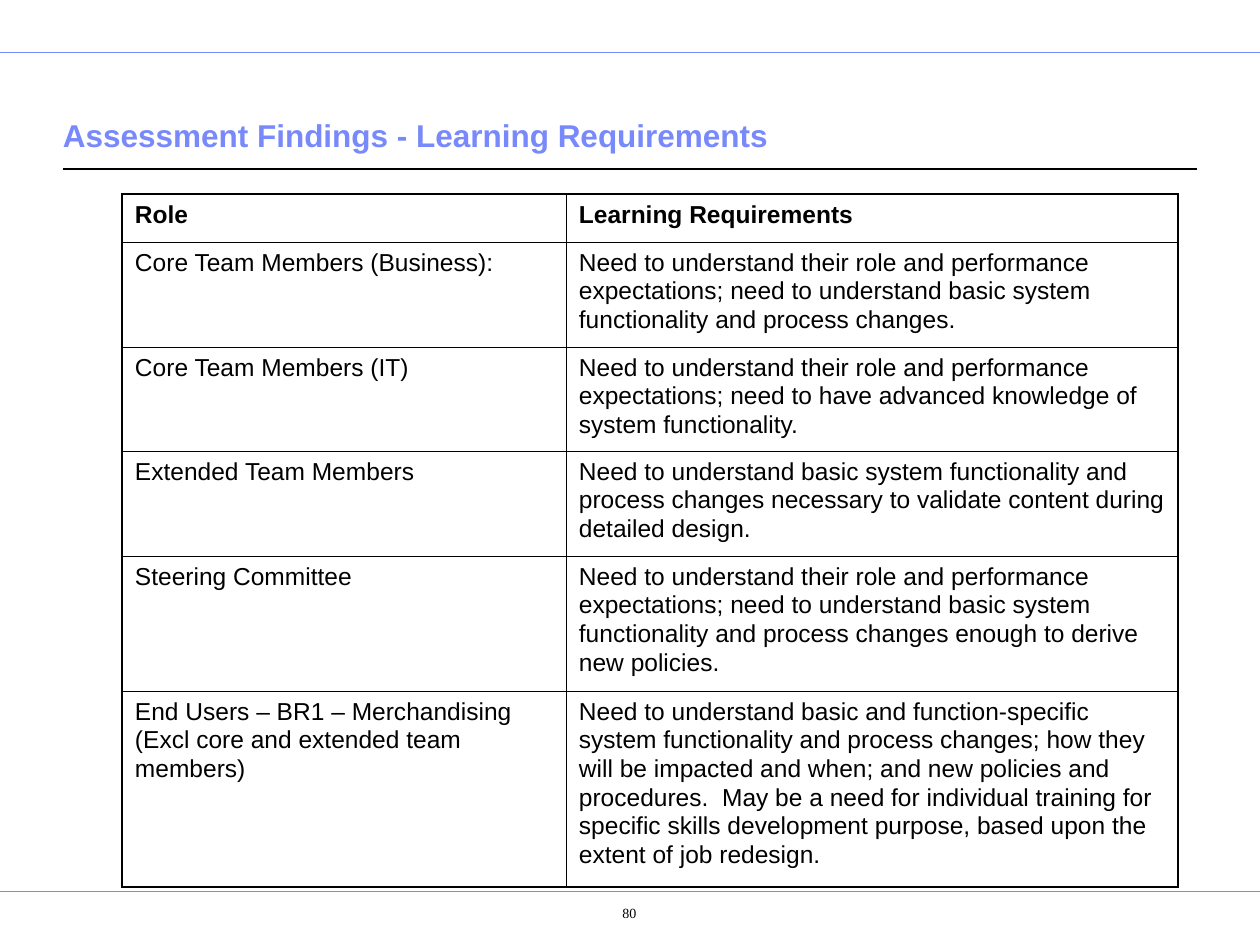
from lxml import etree
from pptx import Presentation
from pptx.dml.color import RGBColor
from pptx.enum.shapes import MSO_CONNECTOR
from pptx.enum.text import MSO_ANCHOR, PP_ALIGN
from pptx.oxml.ns import qn
from pptx.util import Pt

PX = 914400 / 126
STRAIGHT = MSO_CONNECTOR.STRAIGHT
BOTTOM = MSO_ANCHOR.BOTTOM
CENTER = PP_ALIGN.CENTER
BLUE, BLACK = "7889FB", "000000"
INNER, OUTER = 0.45, 1.08


def px(n):
    return round(n * PX)


def style(font, name, size, color, bold=False):
    font.name, font.size, font.bold = name, Pt(size), bold
    font.color.rgb = RGBColor.from_string(color)


prs = Presentation()
prs.slide_width, prs.slide_height = px(1260), px(945)
s = prs.slides.add_slide(prs.slide_layouts[6])

rules = [(0, 1260, 52, BLUE, 0.5), (0, 1260, 891, BLUE, 0.5), (63, 1197, 169, BLACK, 0.75)]
for x1, x2, y, color, width in rules:
    ln = s.shapes.add_connector(STRAIGHT, px(x1), px(y), px(x2), px(y))
    ln.line.color.rgb = RGBColor.from_string(color)
    ln.line.width = Pt(width)
    etree.SubElement(ln._element.spPr, qn("a:effectLst"))

title = s.shapes.add_textbox(px(63), px(81), px(1134), px(79))
tf = title.text_frame
tf.word_wrap = True
tf.vertical_anchor = BOTTOM
tf.margin_left = tf.margin_right = 0
p = tf.paragraphs[0]
p.text = "Assessment Findings - Learning Requirements"
style(p.font, "Arial", 18, BLUE, True)

rows = [
    ("Role", "Learning Requirements"),
    ("Core Team Members (Business):",
     "Need to understand their role and performance expectations; need to understand "
     "basic system functionality and process changes."),
    ("Core Team Members (IT)",
     "Need to understand their role and performance expectations; need to have "
     "advanced knowledge of system functionality."),
    ("Extended Team Members",
     "Need to understand basic system functionality and process changes necessary "
     "to validate content during detailed design."),
    ("Steering Committee",
     "Need to understand their role and performance expectations; need to understand "
     "basic system functionality and process changes enough to derive new policies."),
    ("End Users – BR1 – Merchandising (Excl core and extended team members)",
     "Need to understand basic and function-specific system functionality and process "
     "changes; how they will be impacted and when; and new policies and procedures.  "
     "May be a need for individual training for specific skills development purpose, "
     "based upon the extent of job redesign."),
]
widths = [444, 612]
heights = [48, 105, 104, 105, 135, 196]
table = s.shapes.add_table(len(rows), len(widths), px(122), px(194),
                           px(sum(widths)), px(sum(heights))).table
table.first_row = table.horz_banding = False
for col, width in zip(table.columns, widths):
    col.width = px(width)
for i, (row, height) in enumerate(zip(rows, heights)):
    table.rows[i].height = px(height)
    for j, text in enumerate(row):
        cell = table.cell(i, j)
        cell.margin_left = cell.margin_right = px(13)
        cell.margin_top = cell.margin_bottom = px(6)
        p = cell.text_frame.paragraphs[0]
        p.text = text
        p.line_spacing = 1.04
        style(p.font, "Arial", 14, BLACK, i == 0)
        tcPr = cell._tc.get_or_add_tcPr()
        edges = {"L": j == 0, "R": j == len(widths) - 1,
                 "T": i == 0, "B": i == len(rows) - 1}
        for side, outer in edges.items():
            width = Pt(OUTER if outer else INNER)
            border = etree.SubElement(tcPr, qn("a:ln" + side), w=str(width))
            fill = etree.SubElement(border, qn("a:solidFill"))
            etree.SubElement(fill, qn("a:srgbClr"), val=BLACK)
        cell.fill.background()

number = s.shapes.add_textbox(px(538), px(896), px(145), px(44))
tf = number.text_frame
tf.word_wrap = True
tf.margin_left, tf.margin_top = px(20), px(9)
p = tf.paragraphs[0]
p.text = "80"
p.alignment = CENTER
p._p.get_or_add_pPr().set("marL", str(px(30)))
style(p.font, "Times New Roman", 8, BLACK)

prs.save("out.pptx")
